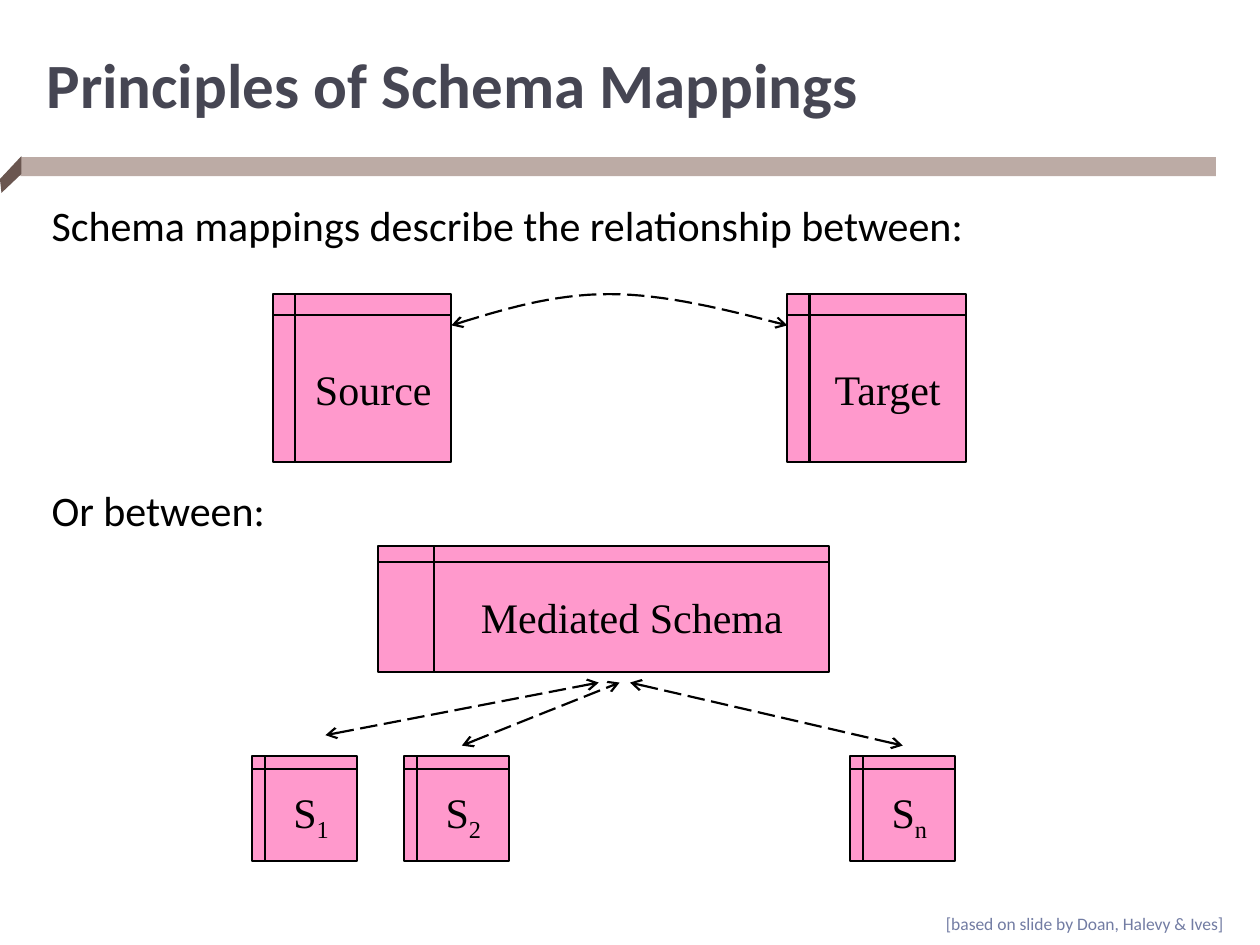
from dataclasses import dataclass

import lxml.etree
import pptx
import pptx.dml.color
import pptx.enum.dml
import pptx.enum.shapes
import pptx.enum.text
import pptx.oxml.ns
import pptx.util

Cm = pptx.util.Cm
Pt = pptx.util.Pt
RGBColor = pptx.dml.color.RGBColor
qn = pptx.oxml.ns.qn
Anchor = pptx.enum.text.MSO_ANCHOR
Shape = pptx.enum.shapes.MSO_SHAPE

BLACK = RGBColor(0x00, 0x00, 0x00)
PINK = RGBColor(0xFF, 0x99, 0xCC)
BAR = RGBColor(0xBC, 0xAB, 0xA5)
FOLD = RGBColor(0x6A, 0x56, 0x50)
TITLE = RGBColor(0x46, 0x46, 0x53)
CREDIT = RGBColor(0x72, 0x7C, 0xA3)
LINE_WIDTH = Pt(1.25)
CURVE_STEPS = 16

Point = tuple[float, float]


@dataclass
class Store:
    left: float
    top: float
    width: float
    height: float
    text: str
    subscript: str = ""


@dataclass
class Label:
    left: float
    top: float
    width: float
    height: float
    text: str
    size: int = 24
    color: RGBColor = BLACK
    bold: bool = False
    anchor: Anchor = Anchor.TOP


@dataclass
class Link:
    start: Point
    end: Point


STORES = [
    Store(5.5, 5.93, 3.6, 3.38, "Source"),
    Store(15.87, 5.93, 3.6, 3.38, "Target"),
    *(Store(left, 15.24, 2.12, 2.12, "S", sub)
      for left, sub in ((5.08, "1"), (8.15, "2"), (17.14, "n"))),
    Store(7.62, 11.01, 9.1, 2.54, "Mediated Schema"),
]
LABELS = [
    Label(0.69, 1.12, 22.43, 1.45, "Principles of Schema Mappings",
          36, TITLE, True, Anchor.BOTTOM),
    Label(0.79, 3.89, 19.08, 1.28,
          "Schema mappings describe the relationship between:"),
    Label(0.79, 9.65, 5.05, 1.28, "Or between:"),
    Label(18.82, 18.29, 6.32, 0.68,
          "[based on slide by Doan, Halevy & Ives]", 10, CREDIT),
]
LINKS = [
    Link((6.56, 14.82), (12.07, 13.76)),
    Link((18.2, 15.03), (12.7, 13.76)),
    Link((9.31, 15.03), (12.49, 13.76)),
]
FOLD_POINTS = [(0.43, 3.15), (0, 3.61), (0.03, 3.89), (0.43, 3.51)]
CURVES = [
    [(9.1, 6.56), (10.13, 6.24), (11.15, 5.93), (12.28, 5.93)],
    [(12.28, 5.93), (13.41, 5.93), (14.63, 6.24), (15.87, 6.56)],
]


def set_font(p, size: int, name: str, color: RGBColor, bold: bool = False) -> None:
    p.font.size = Pt(size)
    p.font.name = name
    p.font.bold = bold
    p.font.color.rgb = color


def draw_store(s, store: Store) -> None:
    sp = s.shapes.add_shape(Shape.FLOWCHART_INTERNAL_STORAGE, Cm(store.left),
                            Cm(store.top), Cm(store.width), Cm(store.height))
    sp.shadow.inherit = False
    sp.fill.solid()
    sp.fill.fore_color.rgb = PINK
    sp.line.color.rgb = BLACK
    sp.line.width = LINE_WIDTH
    tf = sp.text_frame
    tf.word_wrap = False
    tf.vertical_anchor = Anchor.MIDDLE
    p = tf.paragraphs[0]
    p.alignment = pptx.enum.text.PP_ALIGN.CENTER
    set_font(p, 24, "Times New Roman", BLACK)
    p.add_run().text = store.text
    if store.subscript:
        r = p.add_run()
        r.text = store.subscript
        r.font._element.set("baseline", "-25000")


def draw_label(s, label: Label) -> None:
    sp = s.shapes.add_textbox(Cm(label.left), Cm(label.top),
                              Cm(label.width), Cm(label.height))
    tf = sp.text_frame
    tf.word_wrap = False
    tf.vertical_anchor = label.anchor
    p = tf.paragraphs[0]
    p.text = label.text
    set_font(p, label.size, "Calibri", label.color, label.bold)


def style_arrow(sp) -> None:
    sp.line.color.rgb = BLACK
    sp.line.width = LINE_WIDTH
    sp.line.dash_style = pptx.enum.dml.MSO_LINE.LONG_DASH
    pr = sp._element.spPr
    for end in ("a:headEnd", "a:tailEnd"):
        lxml.etree.SubElement(pr.find(qn("a:ln")), qn(end), type="arrow")
    if pr.find(qn("a:effectLst")) is None:
        lxml.etree.SubElement(pr, qn("a:effectLst"))


def draw_link(s, link: Link) -> None:
    sp = s.shapes.add_connector(pptx.enum.shapes.MSO_CONNECTOR.STRAIGHT,
                                *map(Cm, link.start + link.end))
    style_arrow(sp)


def draw_outline(s, points: list[Point], close: bool):
    first, *rest = [(Cm(x), Cm(y)) for x, y in points]
    builder = s.shapes.build_freeform(*first)
    builder.add_line_segments(rest, close=close)
    sp = builder.convert_to_shape()
    sp.shadow.inherit = False
    return sp


def bezier_point(curve: list[Point], t: float) -> Point:
    weights = ((1 - t) ** 3, 3 * t * (1 - t) ** 2, 3 * t ** 2 * (1 - t), t ** 3)
    x, y = (sum(w * pt[axis] for w, pt in zip(weights, curve)) for axis in (0, 1))
    return x, y


def draw_curve(s) -> None:
    points = [CURVES[0][0]] + [bezier_point(curve, i / CURVE_STEPS)
                               for curve in CURVES
                               for i in range(1, CURVE_STEPS + 1)]
    sp = draw_outline(s, points, close=False)
    sp.fill.background()
    style_arrow(sp)


def draw_banner(s) -> None:
    bar = s.shapes.add_shape(Shape.RECTANGLE, Cm(0.41), Cm(3.17), Cm(24.1), Cm(0.38))
    bar.shadow.inherit = False
    fold = draw_outline(s, FOLD_POINTS, close=True)
    for sp, color in ((bar, BAR), (fold, FOLD)):
        sp.fill.solid()
        sp.fill.fore_color.rgb = color
        sp.line.fill.background()


def main() -> None:
    prs = pptx.Presentation()
    prs.slide_width, prs.slide_height = Cm(25.4), Cm(19.05)
    s = prs.slides.add_slide(prs.slide_layouts[6])
    draw_banner(s)
    for store in STORES:
        draw_store(s, store)
    draw_curve(s)
    for link in LINKS:
        draw_link(s, link)
    for label in LABELS:
        draw_label(s, label)
    prs.save("out.pptx")


if __name__ == "__main__":
    main()
